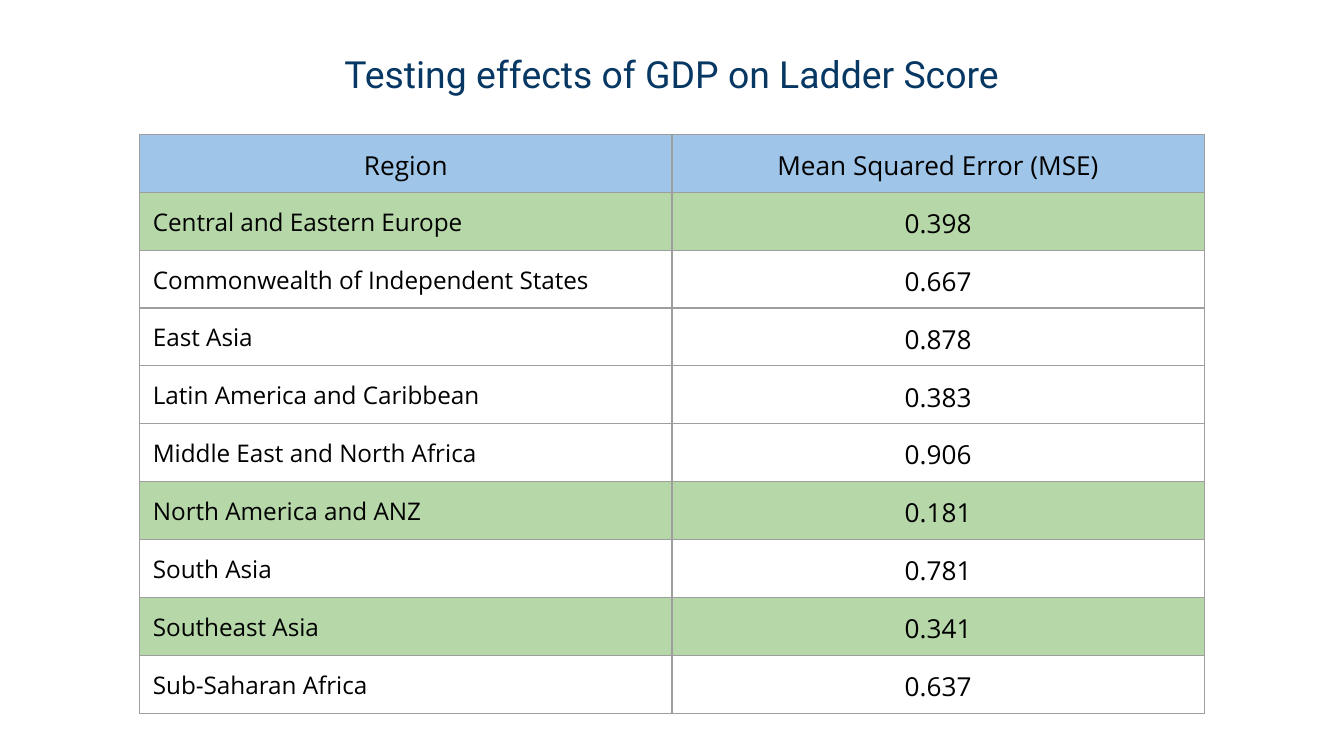
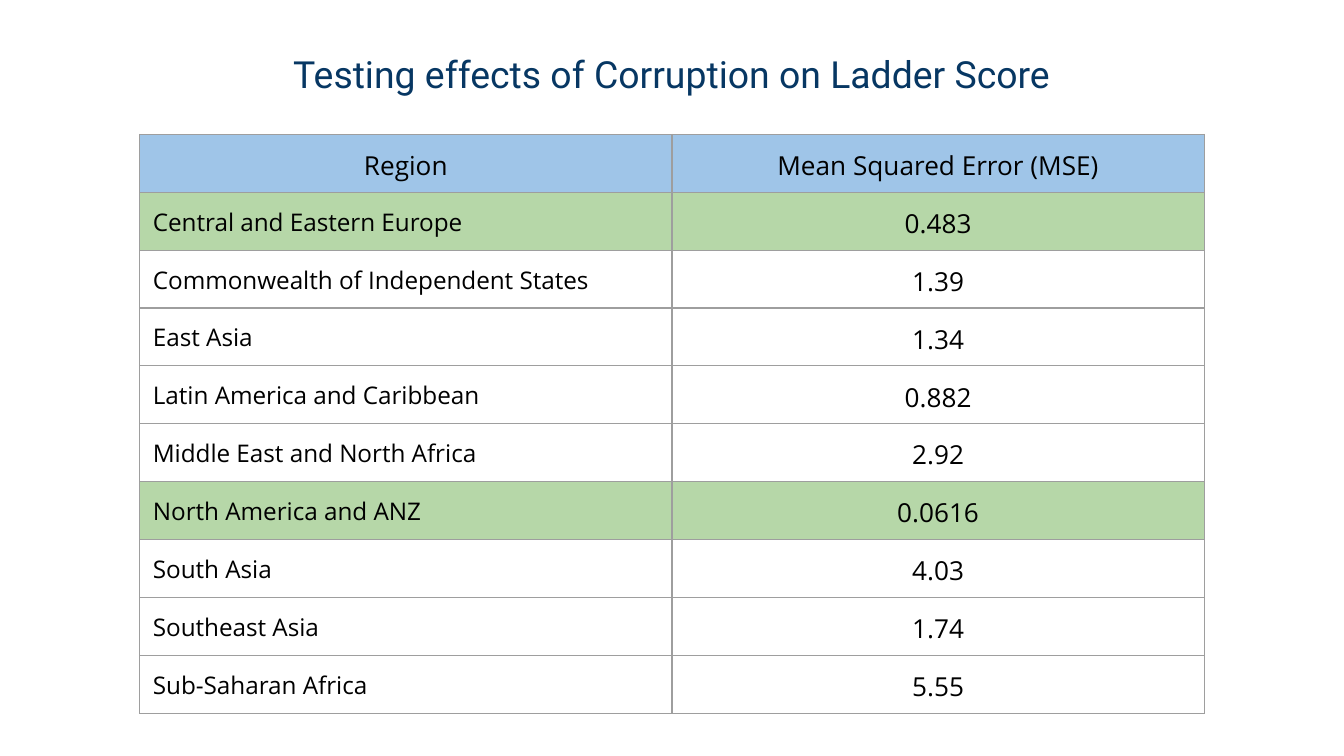
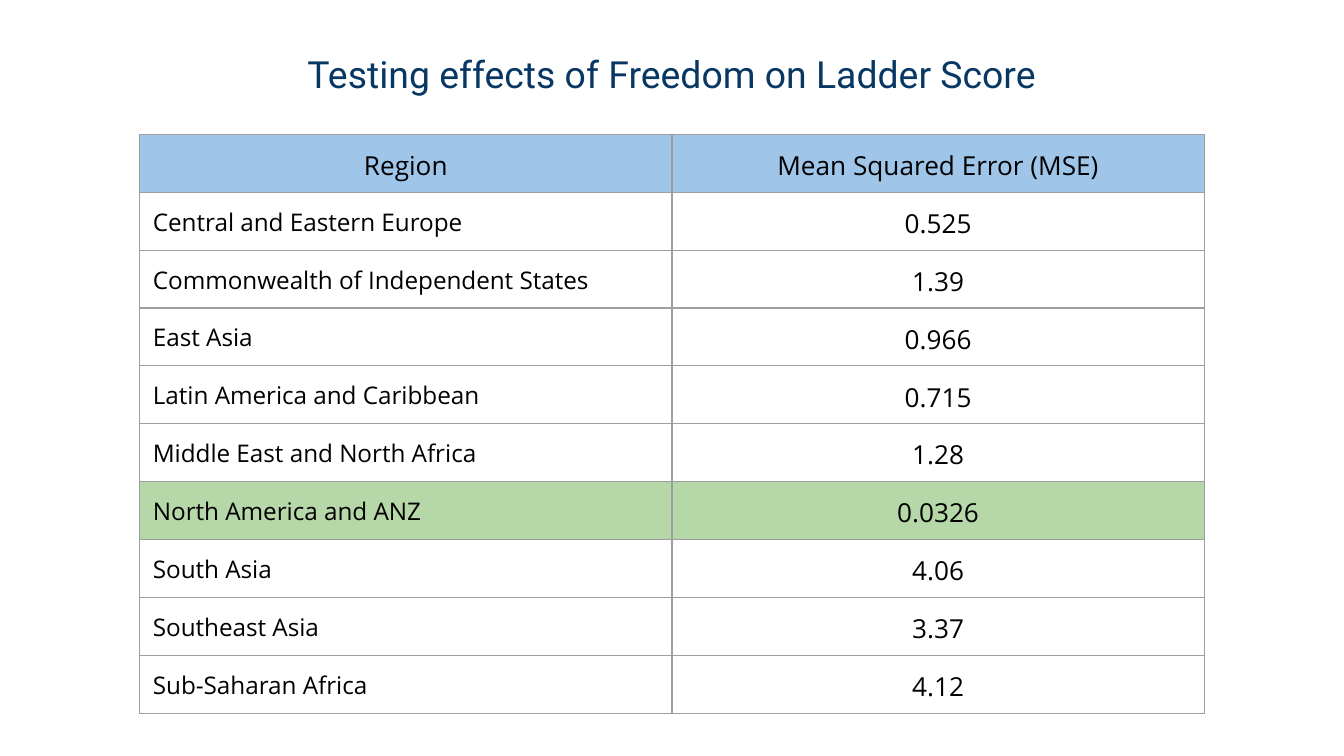
from collections import namedtuple
from dataclasses import dataclass

from lxml import etree
from pptx import Presentation
from pptx import util as u
from pptx.dml.color import RGBColor
from pptx.enum import text
from pptx.oxml import ns

Box = namedtuple("Box", "left top width height")


@dataclass(frozen=True)
class Theme:
    navy: str = "073763"
    black: str = "000000"
    blue: str = "9FC5E8"
    green: str = "B6D7A8"
    gray: str = "9E9E9E"
    title_font: str = "Roboto"
    body_font: str = "Open Sans"
    title_size: int = 20
    name_size: int = 13
    score_size: int = 14
    rule: float = 0.75


LOOK = Theme()
WIDE, HIGH = 25.4, 14.29
PAD = u.Cm(0.25)
ROW = 1.07

HEADS = ("Region", "Mean Squared Error (MSE)")
REGIONS = (
    "Central and Eastern Europe",
    "Commonwealth of Independent States",
    "East Asia",
    "Latin America and Caribbean",
    "Middle East and North Africa",
    "North America and ANZ",
    "South Asia",
    "Southeast Asia",
    "Sub-Saharan Africa",
)

# Factor, one score per region, regions marked green
TESTS = (
    ("GDP",
     ("0.398", "0.667", "0.878", "0.383", "0.906", "0.181", "0.781", "0.341", "0.637"),
     {"Central and Eastern Europe", "North America and ANZ", "Southeast Asia"}),
    ("Corruption",
     ("0.483", "1.39", "1.34", "0.882", "2.92", "0.0616", "4.03", "1.74", "5.55"),
     {"Central and Eastern Europe", "North America and ANZ"}),
    ("Freedom",
     ("0.525", "1.39", "0.966", "0.715", "1.28", "0.0326", "4.06", "3.37", "4.12"),
     {"North America and ANZ"}),
)


def center(top, width, height):
    """Box centred across the slide."""
    return Box((WIDE - width) / 2, top, width, height)


def write(frame, words, size, font, color, align):
    para = frame.paragraphs[0]
    para.alignment = align
    run = para.add_run()
    run.text = words
    run.font.size = u.Pt(size)
    run.font.name = font
    run.font.color.rgb = RGBColor.from_string(color)


def inset(part):
    part.margin_left = part.margin_right = PAD
    part.margin_top = part.margin_bottom = PAD


def border(cell):
    props = cell._tc.get_or_add_tcPr()
    for side in ("lnL", "lnR", "lnT", "lnB"):
        line = etree.SubElement(props, ns.qn("a:" + side), w=str(u.Pt(LOOK.rule)))
        fill = etree.SubElement(line, ns.qn("a:solidFill"))
        etree.SubElement(fill, ns.qn("a:srgbClr"), val=LOOK.gray)


def add_title(slide, box, words):
    frame = slide.shapes.add_textbox(*map(u.Cm, box)).text_frame
    frame.word_wrap = True
    frame.auto_size = text.MSO_AUTO_SIZE.SHAPE_TO_FIT_TEXT
    inset(frame)
    write(frame, words, LOOK.title_size, LOOK.title_font, LOOK.navy,
          text.PP_ALIGN.CENTER)


def fill_cell(cell, words, size, align, anchor, color):
    inset(cell)
    cell.vertical_anchor = anchor
    border(cell)
    if color:
        cell.fill.solid()
        cell.fill.fore_color.rgb = RGBColor.from_string(color)
    else:
        cell.fill.background()
    write(cell.text_frame, words, size, LOOK.body_font, LOOK.black, align)


def add_scores(slide, box, scores, marked):
    shape = slide.shapes.add_table(len(REGIONS) + 1, len(HEADS), *map(u.Cm, box))
    grid = shape.table
    grid.first_row = grid.horz_banding = False
    for row in grid.rows:
        row.height = u.Cm(ROW)
    shape.height = u.Cm(box.height)
    mid, left = text.PP_ALIGN.CENTER, text.PP_ALIGN.LEFT

    # Header row
    for col, head in enumerate(HEADS):
        fill_cell(grid.cell(0, col), head, LOOK.score_size, mid,
                  text.MSO_ANCHOR.TOP, LOOK.blue)

    # One row per region
    for row, (name, score) in enumerate(zip(REGIONS, scores), 1):
        color = LOOK.green if name in marked else None
        parts = ((name, LOOK.name_size, left), (score, LOOK.score_size, mid))
        for col, (words, size, align) in enumerate(parts):
            fill_cell(grid.cell(row, col), words, size, align,
                      text.MSO_ANCHOR.MIDDLE, color)


def add_test(deck, factor, scores, marked):
    slide = deck.slides.add_slide(deck.slide_layouts[6])
    add_title(slide, center(0.71, 16.33, 1.37),
              f"Testing effects of {factor} on Ladder Score")
    add_scores(slide, center(2.54, 20.12, 11), scores, marked)


def main():
    deck = Presentation()
    deck.slide_width, deck.slide_height = u.Cm(WIDE), u.Cm(HIGH)
    for test in TESTS:
        add_test(deck, *test)
    deck.save("out.pptx")


if __name__ == "__main__":
    main()
